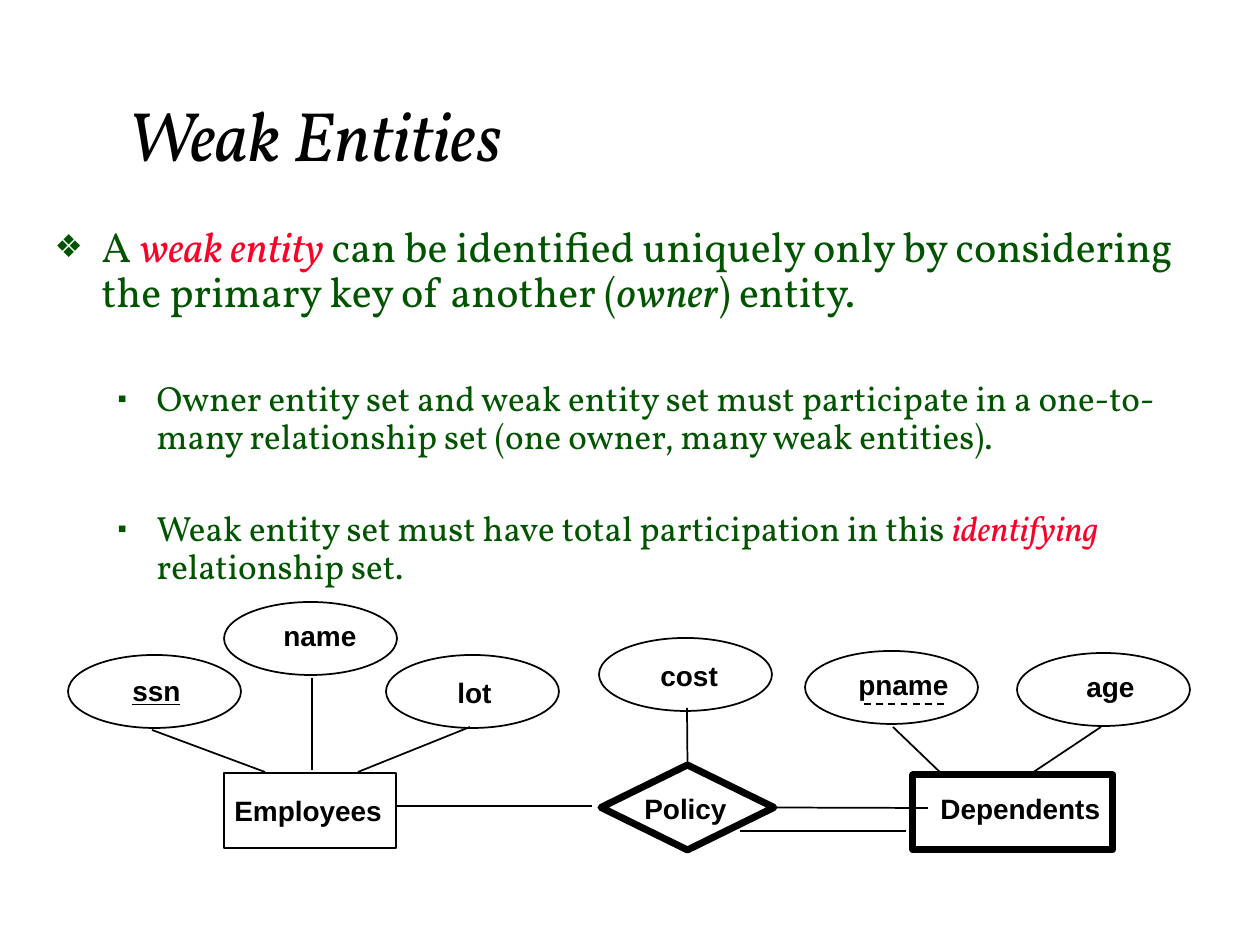
from dataclasses import dataclass

from lxml import etree
from pptx import Presentation
from pptx.dml.color import RGBColor
from pptx.enum.dml import MSO_LINE
from pptx.enum.shapes import MSO_CONNECTOR, MSO_SHAPE
from pptx.enum.text import MSO_ANCHOR, MSO_AUTO_SIZE, PP_ALIGN
from pptx.oxml.ns import qn
from pptx.util import Pt

OVAL, RECTANGLE, DIAMOND = MSO_SHAPE.OVAL, MSO_SHAPE.RECTANGLE, MSO_SHAPE.DIAMOND
STRAIGHT, DASH = MSO_CONNECTOR.STRAIGHT, MSO_LINE.DASH
LEFT, MIDDLE, TOP = PP_ALIGN.LEFT, MSO_ANCHOR.MIDDLE, MSO_ANCHOR.TOP
FIT_SHAPE, NO_FIT = MSO_AUTO_SIZE.SHAPE_TO_FIT_TEXT, MSO_AUTO_SIZE.NONE

EMU_PER_PX = 914400 / 126
TOP_SIDE, RIGHT_SIDE = 0, 3


@dataclass(frozen=True)
class Theme:
    ink: RGBColor = RGBColor(0x00, 0x00, 0x00)
    body: RGBColor = RGBColor(0x00, 0x54, 0x00)
    accent: RGBColor = RGBColor(0xFC, 0x01, 0x28)
    text_font: str = "Vollkorn"
    label_font: str = "Arial"
    title_size: int = 40
    point_size: int = 24
    subpoint_size: int = 20
    label_size: int = 16
    thin: int = 1
    thick: int = 4


THEME = Theme()

# Each run is (text, colour, italic)
POINT = [
    ("A ", THEME.body, False),
    ("weak entity ", THEME.accent, True),
    ("can be identified uniquely only by considering the primary key of another (",
     THEME.body, False),
    ("owner", THEME.body, True),
    (") entity.", THEME.body, False),
]
OWNER_RULE = [
    ("Owner entity set and weak entity set must participate in a one-to-many "
     "relationship set (one owner, many weak entities).", THEME.body, False),
]
PARTICIPATION_RULE = [
    ("Weak entity set must have total participation in this ", THEME.body, False),
    ("identifying ", THEME.accent, True),
    ("relationship set.", THEME.body, False),
]

# Attribute ovals share one size: left, top
ATTRIBUTE_SIZE = (173, 73)
ATTRIBUTES = [(805, 651), (1017, 653), (68, 655), (386, 655), (599, 638), (224, 602)]

# Labels: text, left, top, width (with room to spare, so no word breaks)
LABEL_HEIGHT = 45
LABELS = [
    ("lot", 445, 669, 70),
    ("name", 271, 612, 110),
    ("age", 1074, 663, 85),
    ("pname", 846, 661, 127),
    ("Dependents", 928, 785, 197),
    ("Employees", 222, 787, 185),
    ("Policy", 632, 785, 119),
    ("cost", 648, 652, 94),
]
KEY_LABEL = ("ssn", 120, 667, 85)

# Plain lines: x1, y1, x2, y2
ATTRIBUTE_LINES = [
    (312, 678, 312, 770),
    (152, 730, 265, 772),
    (470, 727, 358, 772),
    (893, 727, 943, 775),
    (1101, 727, 1029, 775),
]
EMPLOYEES_TO_POLICY = (592, 806, 397, 806)
TOTAL_PARTICIPATION = (906, 831, 740, 831)


def px(*lengths):
    return [round(length * EMU_PER_PX) for length in lengths]


def place(shape, left, top, width, height):
    shape.left, shape.top, shape.width, shape.height = px(left, top, width, height)


def style_run(run, font, size, color, bold=False, italic=False):
    run.font.name = font
    run.font.size = Pt(size)
    run.font.color.rgb = color
    run.font.bold = bold
    run.font.italic = italic


def add_title(page, text):
    title = page.shapes.title
    place(title, 115, 58, 1071, 152)
    frame = title.text_frame
    frame.text = text
    frame.auto_size = NO_FIT
    frame.vertical_anchor = MIDDLE
    para = frame.paragraphs[0]
    para.alignment = LEFT
    style_run(para.runs[0], THEME.text_font, THEME.title_size, THEME.ink, italic=True)


def set_bullet(para, char, margin, hanging):
    props = para._p.get_or_add_pPr()
    margin, hanging = px(margin, hanging)
    props.set("marL", str(margin))
    props.set("indent", str(-hanging))
    color = etree.SubElement(props, qn("a:buClr"))
    etree.SubElement(color, qn("a:srgbClr"), val=str(THEME.body))
    etree.SubElement(props, qn("a:buSzPct"), val="75000")
    etree.SubElement(props, qn("a:buFont"), typeface=THEME.label_font)
    etree.SubElement(props, qn("a:buChar"), char=char)


def write_point(para, pieces, level, size, space_before):
    para.level = level
    para.alignment = LEFT
    para.line_spacing = 0.9
    para.space_before = Pt(space_before)
    if level:
        set_bullet(para, "▪", 102, 39)
    else:
        set_bullet(para, "❖", 47, 47)
    for text, color, italic in pieces:
        run = para.add_run()
        run.text = text
        style_run(run, THEME.text_font, size, color, italic=italic)


def add_body(page):
    body = page.placeholders[1]
    place(body, 42, 220, 1207, 388)
    frame = body.text_frame
    frame.auto_size = NO_FIT
    frame.vertical_anchor = TOP
    write_point(frame.paragraphs[0], POINT, 0, THEME.point_size, 6)
    for pieces, gap in ((OWNER_RULE, 37), (PARTICIPATION_RULE, 31)):
        write_point(frame.add_paragraph(), pieces, 1, THEME.subpoint_size, gap)


def add_outline(page, kind, left, top, width, height, weight):
    shape = page.shapes.add_shape(kind, *px(left, top, width, height))
    shape.shadow.inherit = False
    shape.fill.background()
    shape.line.color.rgb = THEME.ink
    shape.line.width = Pt(weight)
    return shape


def add_label(page, text, left, top, width, underline=False):
    box = page.shapes.add_textbox(*px(left, top, width, LABEL_HEIGHT))
    frame = box.text_frame
    frame.text = text
    frame.word_wrap = True
    frame.auto_size = FIT_SHAPE
    para = frame.paragraphs[0]
    para.alignment = LEFT
    run = para.runs[0]
    style_run(run, THEME.label_font, THEME.label_size, THEME.ink, bold=True)
    run.font.underline = underline


def add_line(page, x1, y1, x2, y2):
    line = page.shapes.add_connector(STRAIGHT, *px(x1, y1, x2, y2))
    line.line.color.rgb = THEME.ink
    line.line.width = Pt(THEME.thin)
    etree.SubElement(line._element.spPr, qn("a:effectLst"))
    return line


def add_diagram(page):
    # Entities, attributes and the identifying relationship
    for left, top in ATTRIBUTES:
        add_outline(page, OVAL, left, top, *ATTRIBUTE_SIZE, THEME.thin)
    add_outline(page, RECTANGLE, 913, 775, 200, 75, THEME.thick)
    add_outline(page, RECTANGLE, 224, 773, 172, 75, THEME.thin)
    policy = add_outline(page, DIAMOND, 601, 765, 173, 85, THEME.thick)

    # Names
    for label in LABELS:
        add_label(page, *label)
    add_label(page, *KEY_LABEL, underline=True)

    # Dashed underline of the partial key
    partial_key = add_line(page, 944, 704, 859, 704)
    partial_key.line.dash_style = DASH

    # Links
    for ends in (*ATTRIBUTE_LINES, EMPLOYEES_TO_POLICY, TOTAL_PARTICIPATION):
        add_line(page, *ends)
    add_line(page, 687, 765, 687, 708).begin_connect(policy, TOP_SIDE)
    add_line(page, 774, 807, 928, 808).begin_connect(policy, RIGHT_SIDE)


def main():
    deck = Presentation()
    deck.slide_width, deck.slide_height = px(1260, 945)
    page = deck.slides.add_slide(deck.slide_layouts[1])
    add_title(page, "Weak Entities")
    add_body(page)
    add_diagram(page)
    deck.save("out.pptx")


if __name__ == "__main__":
    main()
